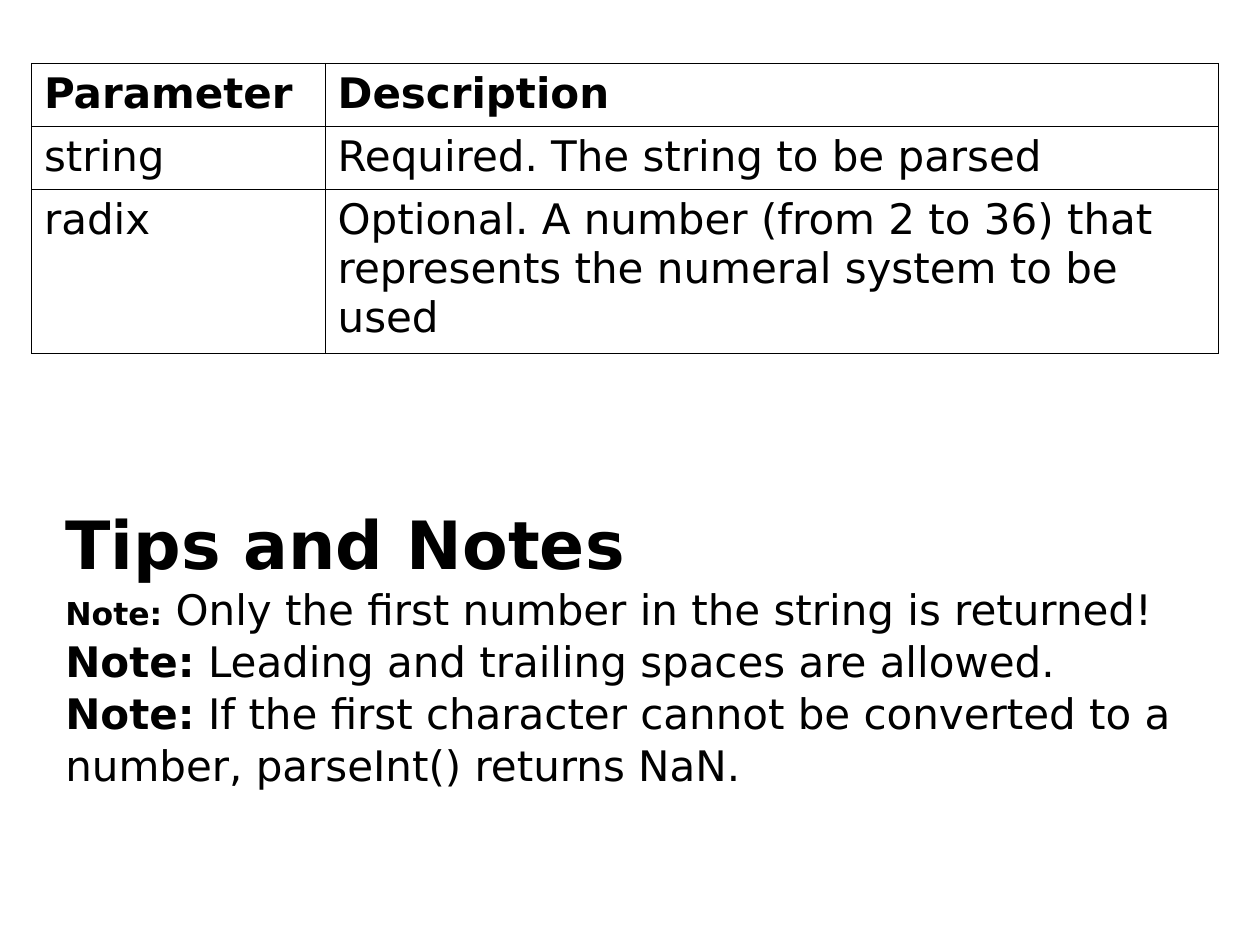
from lxml import etree
from pptx import Presentation
from pptx.dml.color import RGBColor
from pptx.enum.text import MSO_ANCHOR, MSO_AUTO_SIZE
from pptx.oxml.ns import qn
from pptx.util import Inches, Pt

FONT = "DejaVu Sans"
BLACK = "000000"
PARAMETERS = [
    ("Parameter", "Description"),
    ("string", "Required. The string to be parsed"),
    ("radix", "Optional. A number (from 2 to 36) that represents "
              "the numeral system to be used"),
]
NOTES = [
    (18, " Only the first number in the string is returned!"),
    (24, " Leading and trailing spaces are allowed."),
    (24, " If the first character cannot be converted to a number, "
         "parseInt() returns NaN."),
]


def color(hex_value):
    return RGBColor.from_string(hex_value)


def style_run(run, size, bold=False):
    run.font.name = FONT
    run.font.size = Pt(size)
    run.font.bold = bold
    run.font.color.rgb = color(BLACK)


def add_run(paragraph, text, size, bold=False):
    run = paragraph.add_run()
    run.text = text
    style_run(run, size, bold)


def outline_cell(cell, hex_value, width):
    """Draw all four borders; they must precede the fill in the cell's XML."""
    properties = cell._tc.get_or_add_tcPr()
    for position, side in enumerate(("lnL", "lnR", "lnT", "lnB")):
        border = etree.Element(qn(f"a:{side}"), w=str(Pt(width)))
        fill = etree.SubElement(border, qn("a:solidFill"))
        etree.SubElement(fill, qn("a:srgbClr"), val=hex_value)
        properties.insert(position, border)


def add_parameter_table(slide, left, top, width, height):
    table = slide.shapes.add_table(
        len(PARAMETERS), 2, left, top, width, height).table
    name_width = Inches(2.33)
    table.columns[0].width = name_width
    table.columns[1].width = width - name_width
    line_height = Inches(0.5)
    table.rows[0].height = table.rows[1].height = line_height
    table.rows[2].height = height - 2 * line_height
    for row, texts in enumerate(PARAMETERS):
        for column, text in enumerate(texts):
            cell = table.cell(row, column)
            cell.text = text
            style_run(cell.text_frame.paragraphs[0].runs[0], 24, bold=row == 0)
            cell.fill.background()
            outline_cell(cell, BLACK, 0.34)


def add_tips(slide, left, top, width, height):
    frame = slide.shapes.add_textbox(left, top, width, height).text_frame
    frame.word_wrap = True
    frame.auto_size = MSO_AUTO_SIZE.SHAPE_TO_FIT_TEXT
    frame.vertical_anchor = MSO_ANCHOR.MIDDLE
    frame.margin_top = frame.margin_bottom = Inches(0.12)
    add_run(frame.paragraphs[0], "Tips and Notes", 38, bold=True)
    for label_size, note in NOTES:
        paragraph = frame.add_paragraph()
        add_run(paragraph, "Note:", label_size, bold=True)
        add_run(paragraph, note, 24)
    for paragraph in frame.paragraphs:
        paragraph.line_spacing = 1.03


def main():
    presentation = Presentation()
    presentation.slide_width = Inches(10)
    presentation.slide_height = Inches(7.5)
    slide = presentation.slides.add_slide(presentation.slide_layouts[6])
    add_parameter_table(slide, Inches(0.25), Inches(0.5), Inches(9.42), Inches(2.3))
    add_tips(slide, Inches(0.42), Inches(3.88), Inches(9.08), Inches(2.48))
    presentation.save("out.pptx")


if __name__ == "__main__":
    main()
